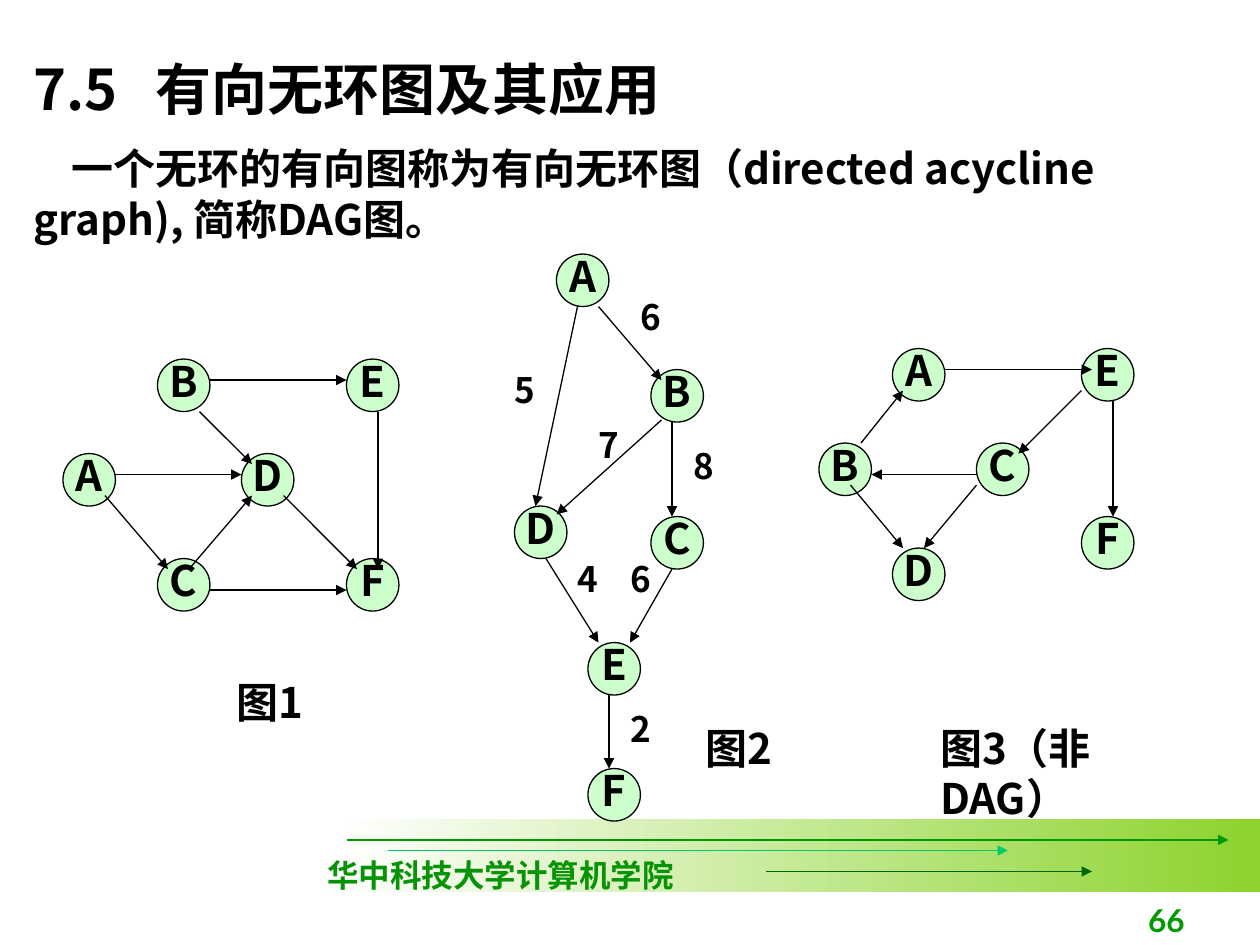
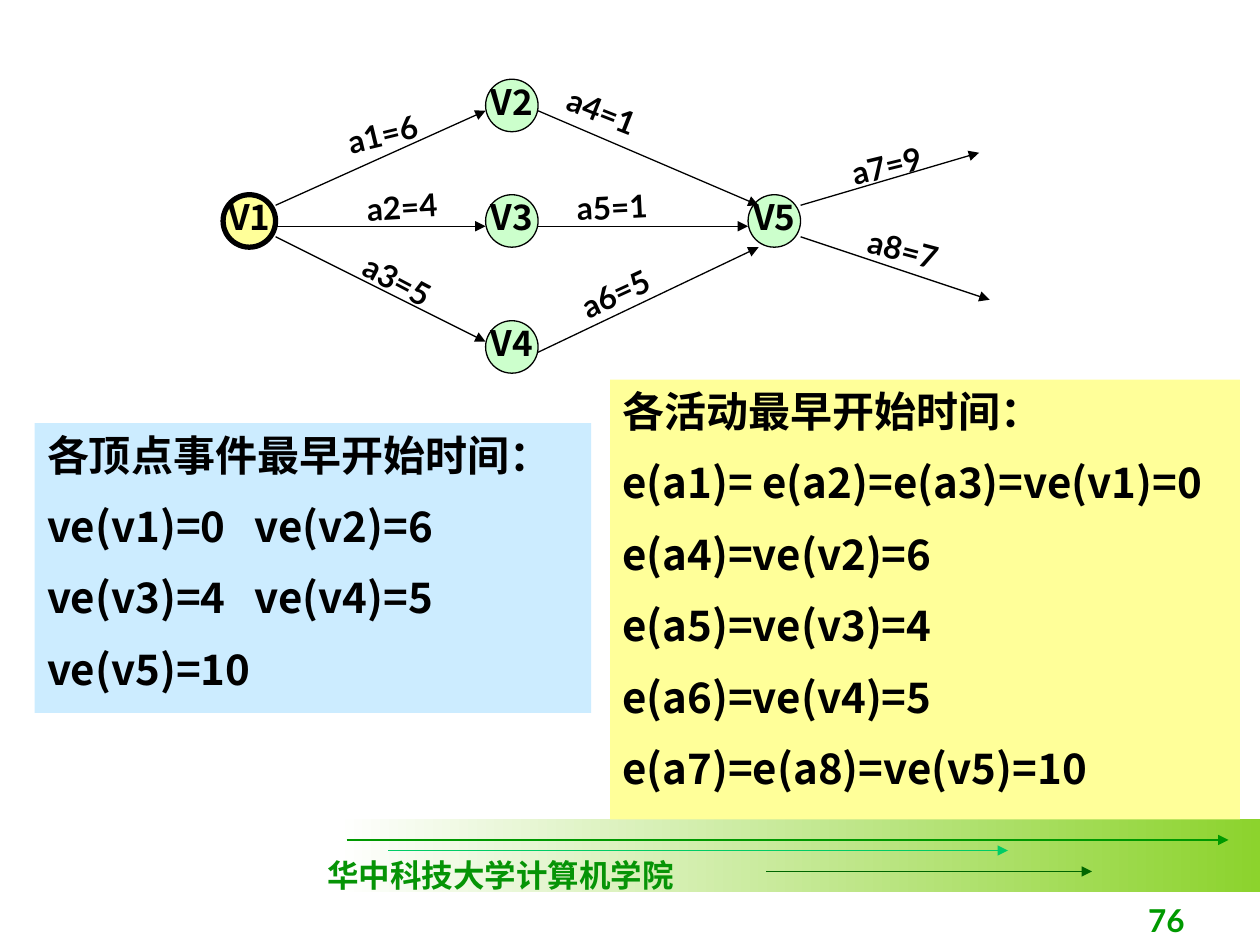
from dataclasses import dataclass
from lxml.etree import SubElement as Sub
from pptx import Presentation
from pptx.dml.color import RGBColor as Rgb
from pptx.enum.shapes import MSO_CONNECTOR as Conn, MSO_SHAPE as Form
from pptx.enum.text import MSO_ANCHOR as Anchor, PP_ALIGN as Align
from pptx.oxml.ns import qn
from pptx.util import Cm, Pt

# All places are counted in grid steps of a twelfth of an inch.
STEP = 2.54 / 12
NODE = 5


@dataclass(frozen=True)
class Theme:
    black: str = "000000"
    white: str = "FFFFFF"
    mint: str = "CCFFCC"
    cream: str = "FFFF99"
    sky: str = "CCECFF"
    lime: str = "8CD32D"
    green: str = "009900"
    teal: str = "00CC66"
    dark: str = "006600"
    school: str = "069406"
    sans: str = "Noto Sans CJK SC"
    lato: str = "Lato"
    serif: str = "Times New Roman"
    title: int = 32
    body: int = 24
    mid: int = 20
    small: int = 18
    lead: float = 1.2
    thin: float = 0.75
    thick: float = 3


T = Theme()

# Shared footer
SCHOOL = "华中科技大学计算机学院"
BAND = (32, 78, 88, 7)
RULES = [((33, 80, 117, 80), T.green), ((37, 81, 96, 81), T.teal),
         ((73, 83, 104, 83), T.dark)]

# Slide 66: nodes, arrows and weights are relative to each graph's corner
HEAD = "7.5\t有向无环图及其应用"
INTRO = "一个无环的有向图称为有向无环图（directed acycline graph), 简称DAG图。"
GRAPHS = [
    dict(at=(6, 34.2),
         nodes=dict(A=(0, 9), B=(9, 0), C=(9, 19), D=(17, 9), E=(27, 0), F=(27, 19)),
         arrows=[(5, 11, 17, 11), (4, 13, 10, 20), (12, 20, 18, 13),
                 (13, 5, 18, 10), (14, 2, 27, 2), (30, 5, 30, 20),
                 (14, 22, 27, 22), (21, 13, 28, 20)],
         costs=[]),
    dict(at=(49, 24.2),
         nodes=dict(A=(4, 0), B=(13, 11), C=(13, 25), D=(0, 24), E=(7, 37), F=(7, 49)),
         arrows=[(6, 5, 2, 24), (8, 5, 14, 12), (14, 15.8, 4, 24.8),
                 (15, 16, 15, 25), (3, 29, 8, 37), (15, 30, 11, 37),
                 (9, 42, 9, 49)],
         costs=[("6", 12, 5), ("8", 17, 19.2), ("5", 0, 12), ("7", 8, 17.2),
                ("4", 6, 30), ("6", 11, 30), ("2", 11, 44.2)]),
    dict(at=(78, 33.2),
         nodes=dict(A=(7, 0), B=(0, 9), C=(15, 9), D=(7, 19), E=(25, 0), F=(25, 16)),
         arrows=[(12, 2, 26, 2), (28, 5, 28, 16), (4, 9, 8, 4),
                 (25, 4, 19, 10), (15, 13, 10, 19), (3, 13, 8, 19),
                 (15, 12, 5, 12)],
         costs=[]),
]
NAMES = [("图1", (21.35, 63.85, 16, 6)), ("图2", (66, 68.2, 16, 6)),
         ("图3（非DAG）", (88.35, 68.2, 28, 6))]

# Slide 76: event network, then the two result panels
NET = dict(at=(21.25, 7.55),
           nodes=dict(V1=(0, 11), V2=(25, 0), V3=(25, 11), V4=(25, 23), V5=(50, 11)),
           arrows=[(5, 14, 25, 14), (30, 14, 50, 14), (30, 3, 51, 12),
                   (5, 15, 25, 25), (30, 26, 51, 16), (5, 12, 25, 3),
                   (55, 12, 72, 7), (55, 15, 73, 21)],
           costs=[])
TASKS = [("a1=6", 10, 2.8, -13.6), ("a2=4", 12, 9.7, -3.5),
         ("a3=5", 12, 16.8, 27.8), ("a4=1", 31.4, 0.7, 21.6),
         ("a5=1", 32, 9.7, -3), ("a6=5", 32, 18, -24.8),
         ("a7=9", 58, 5.8, -13.6), ("a8=7", 60, 13.8, 14.7)]
PANELS = [
    ((3.3, 40.3, 53, 27.6), T.sky,
     ["各顶点事件最早开始时间：", "ve(v1)=0\tve(v2)=6", "ve(v3)=4\tve(v4)=5",
      "ve(v5)=10"]),
    ((58.1, 36.15, 60, 41.9), T.cream,
     ["各活动最早开始时间：", "e(a1)= e(a2)=e(a3)=ve(v1)=0", "e(a4)=ve(v2)=6",
      "e(a5)=ve(v3)=4", "e(a6)=ve(v4)=5", "e(a7)=e(a8)=ve(v5)=10"]),
]


def put(obj, vals):
    for key, val in vals.items():
        setattr(obj, key, val)


def grid(*nums):
    return [Cm(n * STEP) for n in nums]


def ink(hue):
    return Rgb.from_string(hue)


def write(para, text, size=T.body, font=T.sans, hue=T.black, bold=True,
          align=Align.LEFT, lead=T.lead, gap=0, tab=None, dent=None):
    """Fill one paragraph with a single styled run."""
    props = para._p.get_or_add_pPr()
    if dent:
        props.set("marL", "0")
        props.set("indent", str(Cm(dent)))
    if tab:
        stops = Sub(props, qn("a:tabLst"))
        Sub(stops, qn("a:tab"), pos=str(Cm(tab)), algn="l")
    put(para, dict(alignment=align, line_spacing=Pt(size * lead),
                   space_before=Pt(gap)))
    run = para.add_run()
    run.text = text
    put(run.font, dict(name=font, size=Pt(size), bold=bold))
    run.font.color.rgb = ink(hue)
    east = T.sans if font == T.serif else font
    Sub(run._r.get_or_add_rPr(), qn("a:ea"), typeface=east)


def setup(shape, **vals):
    """Frame defaults, overridden by the given values."""
    base = dict(word_wrap=True, vertical_anchor=Anchor.TOP,
                margin_top=Cm(0.12), margin_bottom=Cm(0.13))
    put(shape.text_frame, base | vals)
    return shape.text_frame


def label(slide, box, text, turn=0, frame=None, **style):
    shape = slide.shapes.add_textbox(*grid(*box))
    shape.rotation = turn
    write(setup(shape, **(frame or {})).paragraphs[0], text, **style)


def block(slide, form, box, fill=None, edge=None, wide=T.thin):
    shape = slide.shapes.add_shape(form, *grid(*box))
    shape.shadow.inherit = False
    if fill:
        shape.fill.solid()
        shape.fill.fore_color.rgb = ink(fill)
    if edge:
        shape.line.color.rgb = ink(edge)
        shape.line.width = Pt(wide)
    else:
        shape.line.fill.background()
    return shape


def arrow(slide, ends, hue=T.black):
    line = slide.shapes.add_connector(Conn.STRAIGHT, *grid(*ends))
    line.line.color.rgb = ink(hue)
    line.line.width = Pt(T.thin)
    Sub(line.line._get_or_add_ln(), qn("a:tailEnd"), type="triangle")
    Sub(line._element.spPr, qn("a:effectLst"))


def graph(slide, data, size, start=None):
    left, top = data["at"]
    for name, (x, y) in data["nodes"].items():
        first = name == start
        node = block(slide, Form.OVAL, (left + x, top + y, NODE, NODE),
                     T.cream if first else T.mint, T.black,
                     T.thick if first else T.thin)
        frame = setup(node, word_wrap=False, vertical_anchor=Anchor.MIDDLE,
                      margin_top=0, margin_bottom=0)
        write(frame.paragraphs[0], name, size, align=Align.CENTER, lead=0.96)
    for x, y, to_x, to_y in data["arrows"]:
        arrow(slide, (left + x, top + y, left + to_x, top + to_y))
    bare = {"margin_" + side: 0 for side in ("left", "top", "right", "bottom")}
    for text, x, y in data["costs"]:
        label(slide, (left + x, top + y, 2, 2.8), text, frame=bare,
              size=T.mid, lead=0.88)


def base(deck, page):
    """New slide with the green band, its arrows, school and page number."""
    slide = deck.slides.add_slide(deck.slide_layouts[6])
    band = block(slide, Form.RECTANGLE, BAND)
    band.fill.gradient()
    band.fill.gradient_angle = 0
    for stop, hue in zip(band.fill.gradient_stops, (T.white, T.lime)):
        stop.color.rgb = ink(hue)
    for ends, hue in RULES:
        arrow(slide, ends, hue)
    label(slide, (30, 81, 35.4, 4.8), SCHOOL, frame=dict(word_wrap=False),
          size=T.small, font=T.serif, hue=T.school)
    label(slide, (89, 84, 25, 6), page, size=T.small, font=T.lato,
          hue=T.green, align=Align.RIGHT,
          frame=dict(vertical_anchor=Anchor.BOTTOM))
    return slide


def dag(deck):
    slide = base(deck, "66")
    frame = setup(slide.shapes.add_textbox(*grid(2, 4.65, 116, 19.6)))
    write(frame.paragraphs[0], HEAD, T.title, tab=2.47)
    write(frame.add_paragraph(), INTRO, gap=12, dent=0.76)
    for data in GRAPHS:
        graph(slide, data, T.body)
    for text, box in NAMES:
        label(slide, box, text)


def times(deck):
    slide = base(deck, "76")
    graph(slide, NET, T.mid, start="V1")
    left, top = NET["at"]
    for text, x, y, turn in TASKS:
        label(slide, (left + x, top + y, 10, 3.2), text, turn % 360,
              dict(word_wrap=False, margin_top=Cm(0.13)),
              size=T.small, font=T.lato, align=Align.CENTER)
    for box, fill, lines in PANELS:
        frame = setup(block(slide, Form.RECTANGLE, box, fill))
        for i, text in enumerate(lines):
            para = frame.add_paragraph() if i else frame.paragraphs[0]
            write(para, text, gap=12 if i else 0,
                  tab=4.18 if "\t" in text else None)


def main():
    deck = Presentation()
    put(deck, dict(slide_width=Cm(25.4), slide_height=Cm(19.05)))
    dag(deck)
    times(deck)
    deck.save("out.pptx")


if __name__ == "__main__":
    main()
